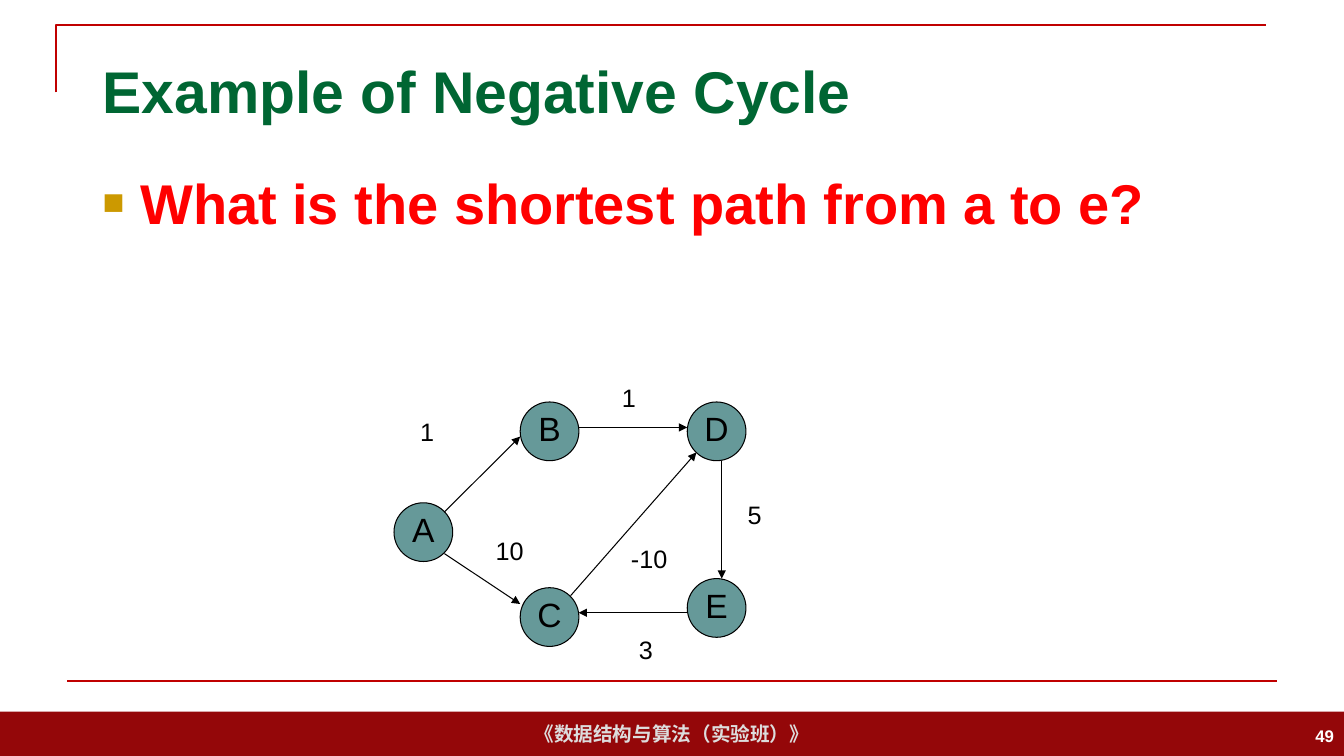
from lxml import etree
from pptx import Presentation
from pptx import util as u
from pptx.dml.color import RGBColor
from pptx.enum import shapes, text
from pptx.oxml import ns

COLORS = {
    "title": "006633", "question": "FF0000", "bullet": "CC9900",
    "band": "940709", "rule": "C00000", "footer": "DDDDDD",
    "node": "669999", "ink": "000000", "white": "FFFFFF",
}
FONT = "Arial"
WIDTH, HEIGHT = 33.87, 19.05
NODE_SIZE = 1.48

# Node positions, relative to the graph's corner, in cm
NODES = {"A": (0, 3.17), "B": (3.18, 0.63), "C": (3.18, 5.31),
         "E": (7.39, 5.08), "D": (7.39, 0.63)}
# Weight, start, end and label corner of each directed edge
EDGES = [
    ("1", (1.27, 3.4), (3.18, 1.5), (0.41, 0.86)),
    ("10", (1.27, 4.45), (3.18, 5.72), (2.31, 3.86)),
    ("1", (4.65, 1.27), (7.39, 1.27), (5.49, 0)),
    ("-10", (4.45, 5.51), (7.62, 1.9), (5.72, 4.06)),
    ("5", (8.26, 2.13), (8.26, 5.08), (8.66, 2.97)),
    ("3", (7.39, 5.94), (4.65, 5.94), (5.92, 6.35)),
]


def color(name):
    return RGBColor.from_string(COLORS[name])


def write(shape, words, size=18, ink="ink", bold=False, align="LEFT",
          anchor="TOP", wrap=True):
    frame = shape.text_frame
    frame.auto_size = text.MSO_AUTO_SIZE.NONE
    frame.word_wrap = wrap
    frame.vertical_anchor = getattr(text.MSO_ANCHOR, anchor)
    paragraph = frame.paragraphs[0]
    paragraph.alignment = getattr(text.PP_ALIGN, align)
    run = paragraph.add_run()
    run.text = words
    run.font.name = FONT
    run.font.size = u.Pt(size)
    run.font.bold = bold
    run.font.color.rgb = color(ink)
    return paragraph


def place(shape, left, top, width, height):
    shape.left, shape.top = u.Cm(left), u.Cm(top)
    shape.width, shape.height = u.Cm(width), u.Cm(height)


def add_text(slide, box, words, **style):
    shape = slide.shapes.add_textbox(*map(u.Cm, box))
    write(shape, words, **style)


def add_line(slide, start, end, ink, width, arrow=False):
    line = slide.shapes.add_connector(
        shapes.MSO_CONNECTOR.STRAIGHT, *map(u.Cm, (*start, *end)))
    line.line.color.rgb = color(ink)
    line.line.width = u.Pt(width)
    if arrow:
        etree.SubElement(line.line._get_or_add_ln(), ns.qn("a:tailEnd"), type="triangle")
    etree.SubElement(line._element.spPr, ns.qn("a:effectLst"))


def add_frame(slide, left, top, width, height):
    # Corner rule at the top left
    corner = slide.shapes.build_freeform(u.Cm(left), u.Cm(top + 1.7))
    corner.add_line_segments(
        [(u.Cm(left), u.Cm(top)), (u.Cm(left + width), u.Cm(top))], close=False)
    rule = corner.convert_to_shape()
    rule.shadow.inherit = False
    rule.fill.background()
    rule.line.color.rgb = color("rule")
    rule.line.width = u.Pt(1.5)
    # Bottom rule, shifted slightly to the right
    bottom = top + height
    add_line(slide, (left + 0.28, bottom), (left + 0.28 + width, bottom), "rule", 1.5)


def add_footer(slide, left, top, width, height):
    band = slide.shapes.add_shape(
        shapes.MSO_SHAPE.RECTANGLE, *map(u.Cm, (left, top, width, height)))
    band.shadow.inherit = False
    band.fill.solid()
    band.fill.fore_color.rgb = color("band")
    band.line.fill.background()
    write(band, "《数据结构与算法（实验班）》", size=14, ink="footer", bold=True,
          align="CENTER", anchor="MIDDLE", wrap=False)
    # Slide number
    add_text(slide, (left + width - 7.62, top + 0.1, 7.62, 1.02), "49", size=12,
             ink="white", bold=True, align="RIGHT", anchor="MIDDLE")


def add_title(slide, *box):
    title = slide.shapes.title
    place(title, *box)
    write(title, "Example of Negative Cycle", size=42, ink="title", bold=True,
          anchor="MIDDLE")


def add_question(slide, *box):
    body = slide.placeholders[1]
    place(body, *box)
    paragraph = write(body, "What is the shortest path from a to e?", size=40,
                      ink="question", bold=True)
    # Square bullet with a hanging indent
    properties = paragraph._p.get_or_add_pPr()
    properties.set("marL", str(u.Cm(0.95)))
    properties.set("indent", str(u.Cm(-0.95)))
    bullet_color = etree.SubElement(properties, ns.qn("a:buClr"))
    etree.SubElement(bullet_color, ns.qn("a:srgbClr"), val=COLORS["bullet"])
    etree.SubElement(properties, ns.qn("a:buSzPct"), val="65000")
    etree.SubElement(properties, ns.qn("a:buFont"), typeface=FONT)
    etree.SubElement(properties, ns.qn("a:buChar"), char="■")


def add_graph(slide, left, top):
    def shift(point):
        return left + point[0], top + point[1]

    # Nodes
    for name, corner in NODES.items():
        node = slide.shapes.add_shape(
            shapes.MSO_SHAPE.OVAL, *map(u.Cm, (*shift(corner), NODE_SIZE, NODE_SIZE)))
        node.shadow.inherit = False
        node.fill.solid()
        node.fill.fore_color.rgb = color("node")
        node.line.color.rgb = color("ink")
        node.line.width = u.Pt(0.75)
        write(node, name, size=24, align="CENTER", anchor="MIDDLE", wrap=False)
        frame = node.text_frame
        frame.margin_left = frame.margin_right = frame.margin_top = 0
        frame.margin_bottom = u.Cm(0.15)
    # Weighted edges
    for weight, start, end, label in EDGES:
        add_line(slide, shift(start), shift(end), "ink", 0.75, arrow=True)
        add_text(slide, (*shift(label), 1.9, 1.02), weight)


def main():
    presentation = Presentation()
    presentation.slide_width = u.Cm(WIDTH)
    presentation.slide_height = u.Cm(HEIGHT)
    slide = presentation.slides.add_slide(presentation.slide_layouts[1])
    add_footer(slide, 0, 17.93, WIDTH, 1.12)
    add_frame(slide, 1.42, 0.63, 30.48, 16.52)
    add_title(slide, 2.33, 1.02, 29.21, 2.51)
    add_question(slide, 2.33, 4.12, 29.21, 13.08)
    add_graph(slide, 9.93, 9.5)
    presentation.save("out.pptx")


if __name__ == "__main__":
    main()
